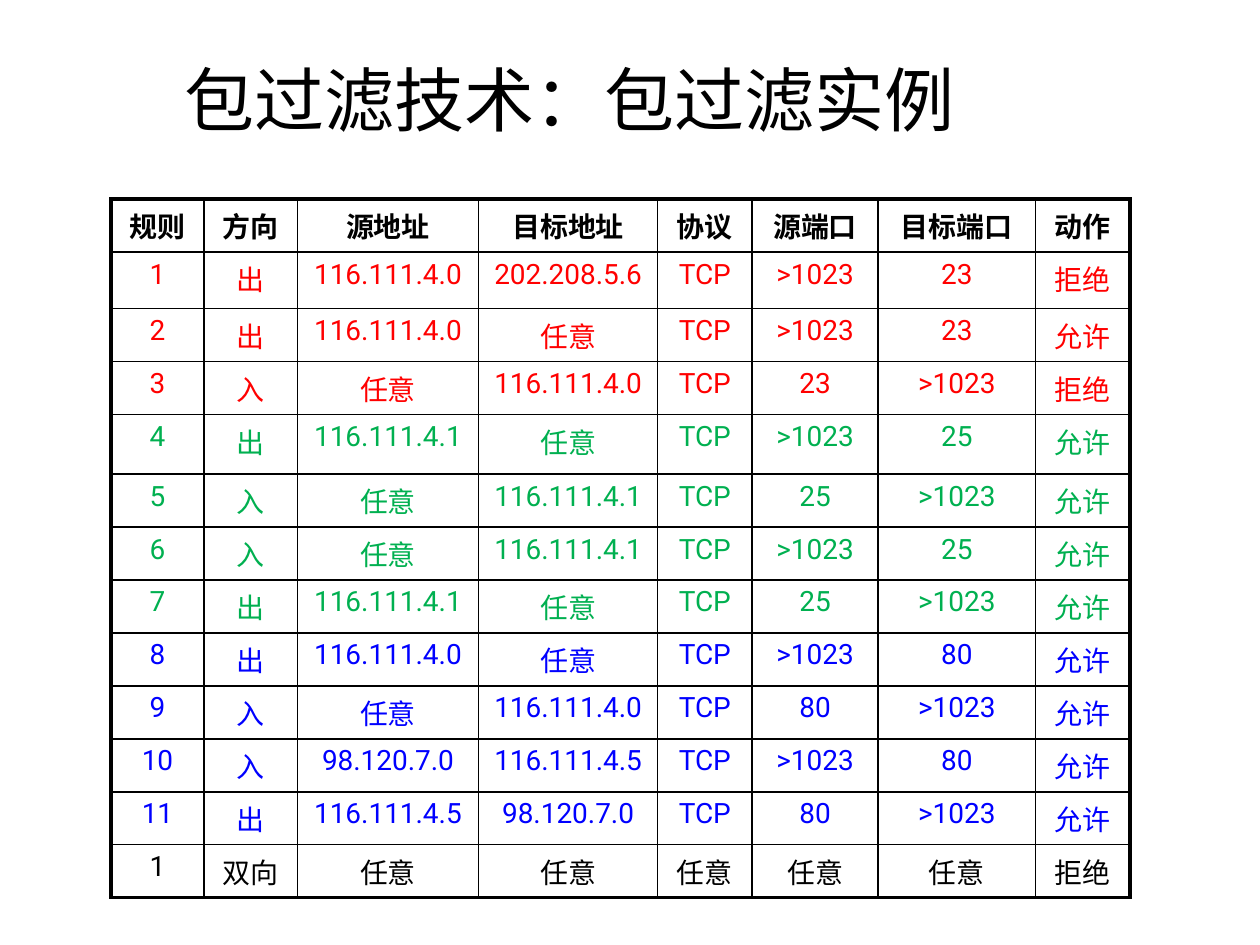
"""Build the slide with the table of packet filtering rules."""
import dataclasses

import lxml.etree
import pptx
import pptx.dml.color
import pptx.enum.text
import pptx.oxml.ns
import pptx.slide
import pptx.table
import pptx.util

Inches = pptx.util.Inches
Pt = pptx.util.Pt
RGBColor = pptx.dml.color.RGBColor
qn = pptx.oxml.ns.qn

BLACK = RGBColor(0, 0, 0)
RED = RGBColor(0xFF, 0, 0)
GREEN = RGBColor(0, 0xB0, 0x50)
BLUE = RGBColor(0, 0, 0xFF)

THIN = 1.0
THICK = 2.25
COLUMN_WIDTHS = (0.74, 0.74, 1.44, 1.42, 0.75, 1, 1.25, 0.75)


@dataclasses.dataclass(frozen=True)
class RuleRow:
    cells: tuple[str, ...]
    color: RGBColor
    height: float = 0.32
    bold: bool = False


ROWS = (
    RuleRow(("规则", "方向", "源地址", "目标地址", "协议", "源端口", "目标端口", "动作"),
            BLACK, 0.42, True),
    RuleRow(("1", "出", "116.111.4.0", "202.208.5.6", "TCP", ">1023", "23", "拒绝"), RED, 0.45),
    RuleRow(("2", "出", "116.111.4.0", "任意", "TCP", ">1023", "23", "允许"), RED),
    RuleRow(("3", "入", "任意", "116.111.4.0", "TCP", "23", ">1023", "拒绝"), RED, 0.3),
    RuleRow(("4", "出", "116.111.4.1", "任意", "TCP", ">1023", "25", "允许"), GREEN, 0.47),
    RuleRow(("5", "入", "任意", "116.111.4.1", "TCP", "25", ">1023", "允许"), GREEN),
    RuleRow(("6", "入", "任意", "116.111.4.1", "TCP", ">1023", "25", "允许"), GREEN),
    RuleRow(("7", "出", "116.111.4.1", "任意", "TCP", "25", ">1023", "允许"), GREEN),
    RuleRow(("8", "出", "116.111.4.0", "任意", "TCP", ">1023", "80", "允许"), BLUE),
    RuleRow(("9", "入", "任意", "116.111.4.0", "TCP", "80", ">1023", "允许"), BLUE),
    RuleRow(("10", "入", "98.120.7.0", "116.111.4.5", "TCP", ">1023", "80", "允许"), BLUE),
    RuleRow(("11", "出", "116.111.4.5", "98.120.7.0", "TCP", "80", ">1023", "允许"), BLUE),
    RuleRow(("1", "双向", "任意", "任意", "任意", "任意", "任意", "拒绝"), BLACK),
)


def set_borders(cell: pptx.table._Cell, widths: dict[str, float]) -> None:
    """Draw black borders on the named sides of a cell."""
    properties = cell._tc.get_or_add_tcPr()
    for side, width in widths.items():
        line = lxml.etree.SubElement(properties, qn(f"a:ln{side}"), w=str(int(Pt(width))))
        fill = lxml.etree.SubElement(line, qn("a:solidFill"))
        lxml.etree.SubElement(fill, qn("a:srgbClr"), val=str(BLACK))


def fill_cell(cell: pptx.table._Cell, text: str, row: RuleRow) -> None:
    """Write one centred text into a cell without background."""
    cell.fill.background()
    para = cell.text_frame.paragraphs[0]
    para.text = text
    para.alignment = pptx.enum.text.PP_ALIGN.CENTER
    spacing = lxml.etree.SubElement(para._p.get_or_add_pPr(), qn("a:spcBef"))
    lxml.etree.SubElement(spacing, qn("a:spcPct"), val="20000")
    font = para.runs[0].font
    font.name = "Roboto"
    font.size = Pt(16)
    font.bold = row.bold
    font.color.rgb = row.color


def add_title(page: pptx.slide.Slide) -> None:
    """Place and format the slide title."""
    title = page.shapes.title
    title.left, title.top = Inches(0.26), Inches(0.37)
    title.width, title.height = Inches(8.52), Inches(0.83)
    title.text_frame.text = "包过滤技术：包过滤实例"
    title.text_frame.vertical_anchor = pptx.enum.text.MSO_ANCHOR.MIDDLE
    para = title.text_frame.paragraphs[0]
    para.alignment = pptx.enum.text.PP_ALIGN.CENTER
    font = para.runs[0].font
    font.name = "Calibri"
    font.size = Pt(40)
    font.color.rgb = BLACK


def add_rules(page: pptx.slide.Slide) -> None:
    """Add the table of filtering rules with a thick outer frame."""
    last_row, last_column = len(ROWS) - 1, len(COLUMN_WIDTHS) - 1
    frame = page.shapes.add_table(len(ROWS), len(COLUMN_WIDTHS), Inches(0.88), Inches(1.58),
                                  Inches(8.08), Inches(5))
    table = frame.table
    table.first_row = False
    table.horz_banding = False
    for column, width in zip(table.columns, COLUMN_WIDTHS):
        column.width = Inches(width)
    for i, row in enumerate(ROWS):
        table.rows[i].height = Inches(row.height)
        for j, text in enumerate(row.cells):
            cell = table.cell(i, j)
            set_borders(cell, {
                "L": THICK if j == 0 else THIN,
                "R": THICK if j == last_column else THIN,
                "T": THICK if i == 0 else THIN,
                "B": THICK if i == last_row else THIN,
            })
            fill_cell(cell, text, row)


def main() -> None:
    """Create and save the deck."""
    deck = pptx.Presentation()
    deck.slide_width, deck.slide_height = Inches(10), Inches(7.5)
    page = deck.slides.add_slide(deck.slide_layouts.get_by_name("Title Only"))
    add_title(page)
    add_rules(page)
    deck.save("out.pptx")


main()
